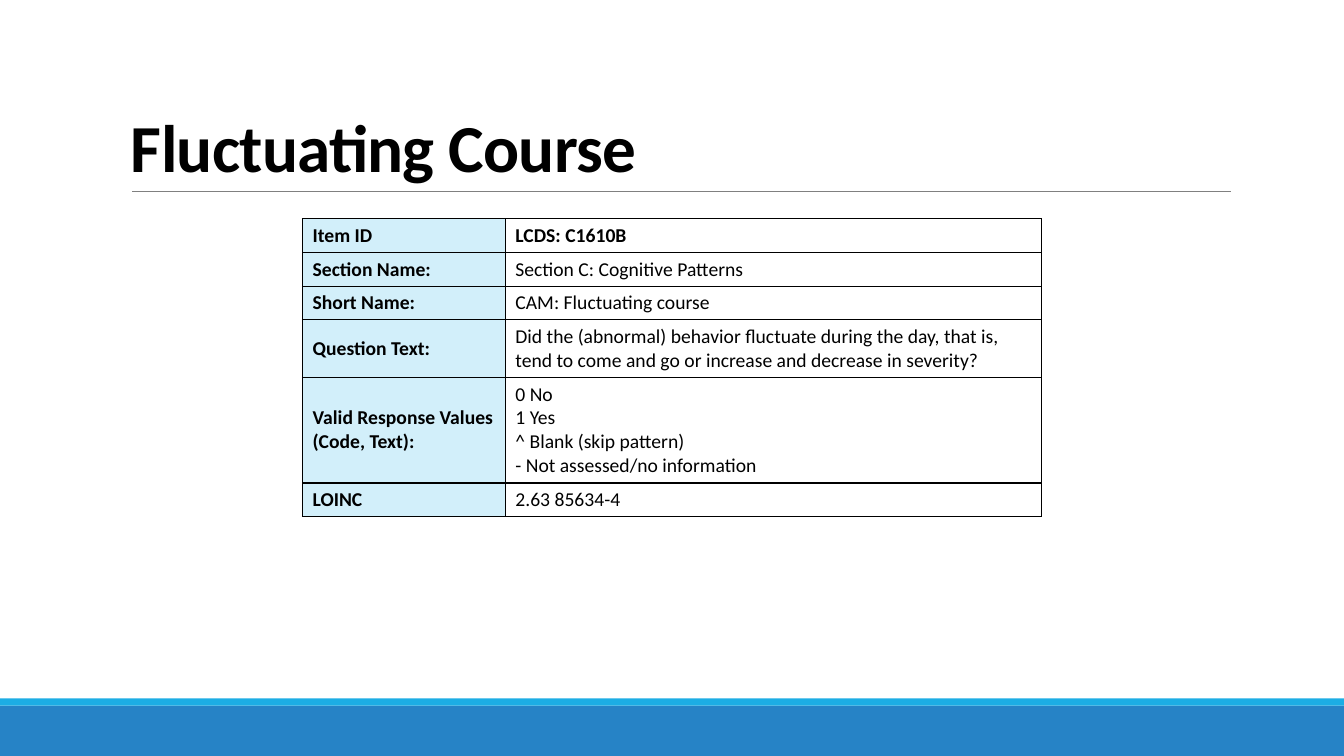
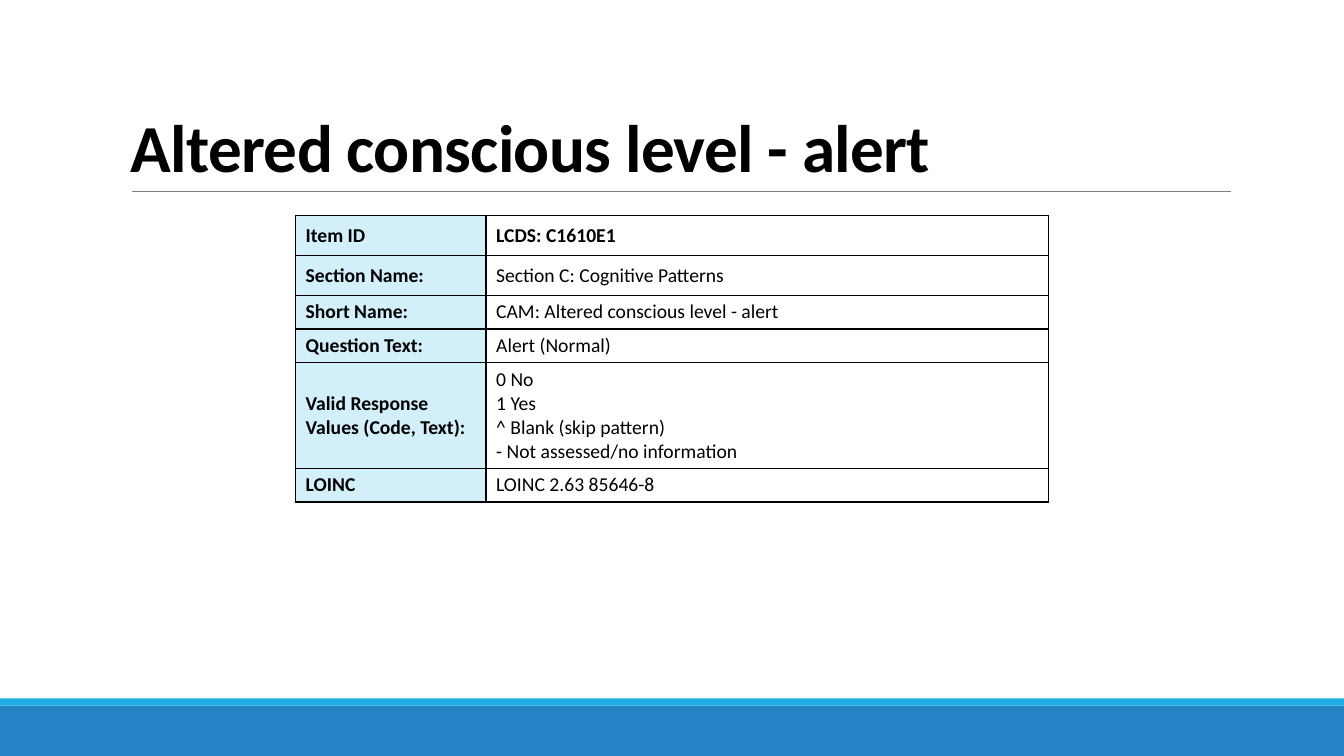
import pptx
import pptx.dml.color
import pptx.enum.shapes
import pptx.enum.text
import pptx.oxml
import pptx.util
from lxml import etree

Cm, Pt = pptx.util.Cm, pptx.util.Pt
ANCHOR = pptx.enum.text.MSO_ANCHOR
WIDTH, HEIGHT = 33.87, 19.05
NS = "http://schemas.openxmlformats.org/drawingml/2006/main"


def rgb(code):
    return pptx.dml.color.RGBColor.from_string(code)


class Deck:
    font, ink, rule = "Calibri", "000000", "808080"
    base, strip, label = "2683C6", "1CADE4", "D2EFFA"

    def __init__(self):
        self.prs = pptx.Presentation()
        self.prs.slide_width, self.prs.slide_height = Cm(WIDTH), Cm(HEIGHT)
        self.slide = None

    def page(self, title):
        self.slide = self.prs.slides.add_slide(self.prs.slide_layouts[6])
        self.band(17.78, 1.27, self.base)
        self.band(17.6, 0.18, self.strip)
        self.line(3.33, 31.01, 4.83)
        self.title(title)

    def band(self, top, height, color):
        shape = self.slide.shapes.add_shape(
            pptx.enum.shapes.MSO_SHAPE.RECTANGLE, 0, Cm(top), Cm(WIDTH), Cm(height))
        shape.shadow.inherit = False
        shape.fill.solid()
        shape.fill.fore_color.rgb = rgb(color)
        shape.line.fill.background()

    def line(self, left, right, y):
        line = self.slide.shapes.add_connector(
            pptx.enum.shapes.MSO_CONNECTOR.STRAIGHT, Cm(left), Cm(y), Cm(right), Cm(y))
        line.line.color.rgb = rgb(self.rule)
        line.line.width = Pt(0.5)
        etree.SubElement(line._element.spPr, f"{{{NS}}}effectLst")

    def style(self, para, size, bold):
        font = para.font
        font.name, font.size, font.bold = self.font, Pt(size), bold
        font.color.rgb = rgb(self.ink)

    def title(self, text):
        box = self.slide.shapes.add_textbox(Cm(3.05), Cm(0.79), Cm(27.94), Cm(4.04))
        frame = box.text_frame
        frame.word_wrap = True
        frame.vertical_anchor = ANCHOR.BOTTOM
        para = frame.paragraphs[0]
        para.line_spacing = 0.85
        run = para.add_run()
        run.text = text
        run._r.get_or_add_rPr().set("spc", "-50")
        self.style(para, 48, True)

    def border(self, cell):
        props = cell._tc.get_or_add_tcPr()
        for side in "LRTB":
            props.append(pptx.oxml.parse_xml(
                f'<a:ln{side} xmlns:a="{NS}" w="12700"><a:solidFill>'
                f'<a:srgbClr val="{self.ink}"/></a:solidFill></a:ln{side}>'))

    def cell(self, cell, text, bold, fill=None):
        self.border(cell)
        if fill:
            cell.fill.solid()
            cell.fill.fore_color.rgb = rgb(fill)
        else:
            cell.fill.background()
        cell.vertical_anchor = ANCHOR.MIDDLE
        cell.text = text
        for para in cell.text_frame.paragraphs:
            self.style(para, 14, bold)

    def table(self, top, cols, heights, values):
        """Add a centred table of item labels and values."""
        labels = ("Item ID", "Section Name:", "Short Name:", "Question Text:",
                  "Valid Response Values (Code, Text):", "LOINC")
        wide = sum(cols)
        table = self.slide.shapes.add_table(
            len(labels), 2, Cm((WIDTH - wide) / 2), Cm(top),
            Cm(wide), Cm(sum(heights))).table
        table.first_row = table.horz_banding = False
        for col, width in zip(table.columns, cols):
            col.width = Cm(width)
        for i, (label, value) in enumerate(zip(labels, values)):
            table.rows[i].height = Cm(heights[i])
            self.cell(table.cell(i, 0), label, True, self.label)
            self.cell(table.cell(i, 1), value, i == 0)


def main():
    deck = Deck()
    section = "Section C: Cognitive Patterns"
    codes = "0 No\n1 Yes\n^ Blank (skip pattern)\n- Not assessed/no information"
    one, two, four = 0.85, 1.45, 2.66

    deck.page("Fluctuating Course")
    deck.table(5.51, (5.11, 13.51), (one, one, one, two, four, one), (
        "LCDS: C1610B", section, "CAM: Fluctuating course",
        "Did the (abnormal) behavior fluctuate during the day, that is, "
        "tend to come and go or increase and decrease in severity?",
        codes, "2.63 85634-4"))

    deck.page("Altered conscious level - alert")
    deck.table(5.44, (4.8, 14.17), (1, 1, one, one, four, one), (
        "LCDS: C1610E1", section, "CAM: Altered conscious level - alert",
        "Alert (Normal)", codes, "LOINC 2.63 85646-8"))

    deck.prs.save("out.pptx")


if __name__ == "__main__":
    main()
